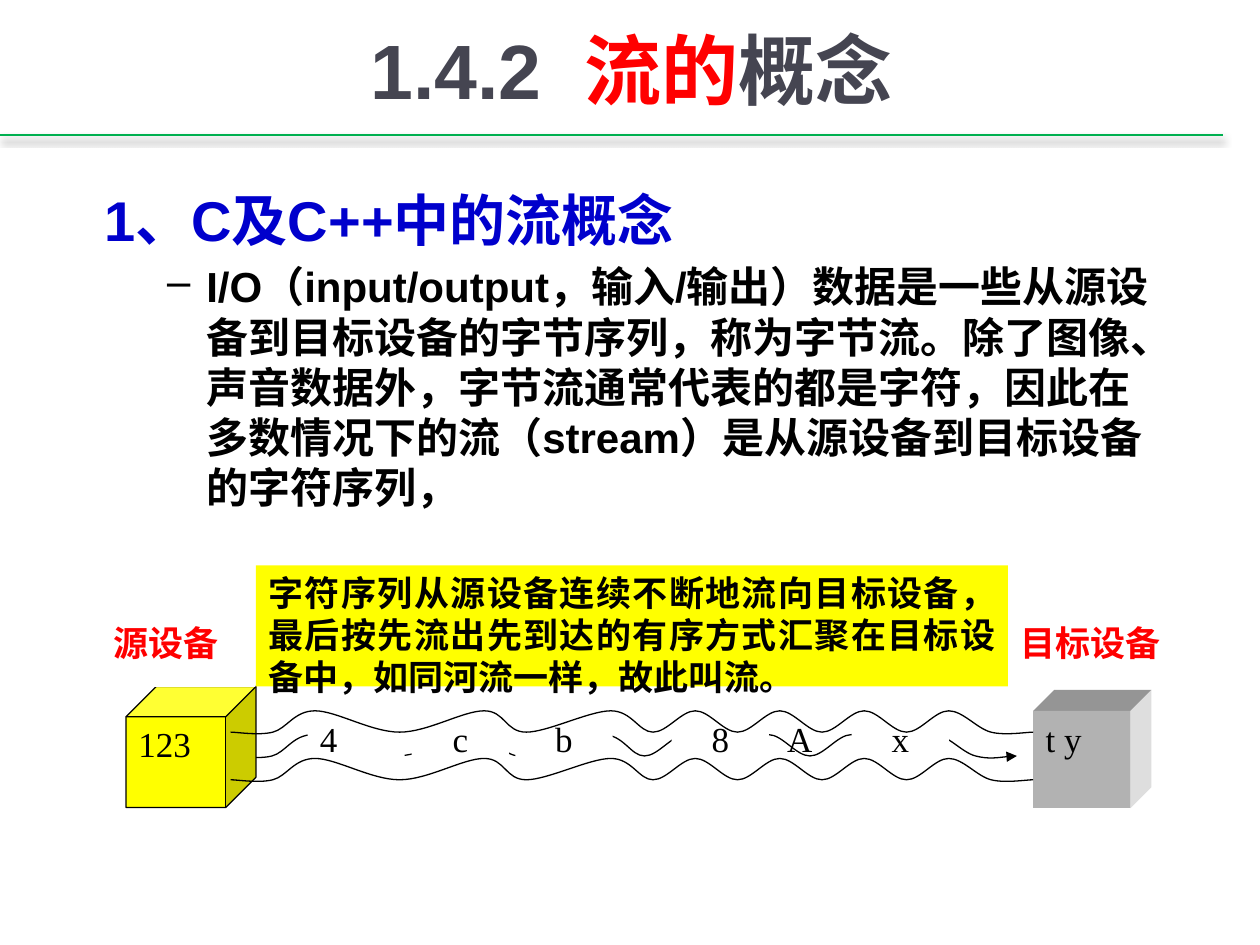
import pptx
import pptx.util
import pptx.dml.color
import pptx.enum.shapes
import pptx.enum.text
import pptx.oxml
import pptx.oxml.ns

Cm, Pt = pptx.util.Cm, pptx.util.Pt
SHAPE = pptx.enum.shapes.MSO_SHAPE
ALIGN = pptx.enum.text.PP_ALIGN
ANCHOR = pptx.enum.text.MSO_ANCHOR
qn = pptx.oxml.ns.qn
NS = 'xmlns:a="http://schemas.openxmlformats.org/drawingml/2006/main"'

COLORS = {
    "rule": "00B050", "title": "454551", "red": "FF0000", "blue": "0000CC",
    "black": "000000", "white": "FFFFFF", "yellow": "FFFF00",
    "front": "B2B2B2", "top": "959595", "side": "DEDEDE",
}
SANS, SERIF, CJK = "Arial", "Times New Roman", "Noto Sans CJK SC"
# Wave crests and troughs: position in units, and 0 for crest or 1 for trough
KNOTS = [(0, 1), (1, 1), (2, 0), (4, 1), (6, 0), (7, 1)]
KNOTS += [(u, u % 2 == 0) for u in range(9, 19)] + [(19, 1)]


def rgb(name):
    return pptx.dml.color.RGBColor.from_string(COLORS[name])


def xml(text):
    return pptx.oxml.parse_xml(text)


def add_run(p, text, size=20, font=SERIF, color="black", bold=False):
    r = p.add_run()
    r.text = text
    r.font.size, r.font.name, r.font.bold = Pt(size), font, bold
    r.font.color.rgb = rgb(color)
    r.font._element.find(qn("a:latin")).addnext(
        xml(f'<a:ea {NS} typeface="{CJK}"/>'))


def set_text(tf, text, align=ALIGN.JUSTIFY, pitch=None, **style):
    tf.word_wrap = True
    tf.vertical_anchor = ANCHOR.TOP
    p = tf.paragraphs[0]
    p.alignment = align
    if pitch:
        p.line_spacing = Pt(pitch)
    add_run(p, text, **style)


def paint(sp, fill=None, line=None):
    sp.shadow.inherit = False
    if fill:
        sp.fill.solid()
        sp.fill.fore_color.rgb = rgb(fill)
    else:
        sp.fill.background()
    if line:
        sp.line.color.rgb = rgb(line)
        sp.line.width = Pt(0.75)
    else:
        sp.line.fill.background()


def add_box(s, x, y, w, h, text, fill="white", line=None, kind=SHAPE.RECTANGLE, **style):
    sp = s.shapes.add_shape(kind, Cm(x), Cm(y), Cm(w), Cm(h))
    paint(sp, fill, line)
    set_text(sp.text_frame, text, **style)


def add_outline(s, points, close, fill=None, line=None):
    points = [(Cm(x), Cm(y)) for x, y in points]
    fb = s.shapes.build_freeform(*points[0])
    fb.add_line_segments(points[1:], close=close)
    sp = fb.convert_to_shape()
    paint(sp, fill, line)
    return sp


def add_wave(s, x, y, width, arrow=False):
    knots = [(x + u * width / 19, y + 0.43 * low) for u, low in KNOTS]
    padded = [knots[0]] + knots + [knots[-1]]
    points = [knots[0]]
    for a, b, c, d in zip(padded, padded[1:], padded[2:], padded[3:]):
        points.append(tuple(q + (r - p) / 6 for p, q, r in zip(a, b, c)))
        points.append(tuple(r - (t - q) / 6 for q, r, t in zip(b, c, d)))
        points.append(c)
    sp = add_outline(s, points, False, line="black")
    # Join each three straight segments into one curve
    path = next(sp._element.iter(qn("a:path")))
    segments = path.findall(qn("a:lnTo"))
    for i in range(0, len(segments), 3):
        curve = xml(f"<a:cubicBezTo {NS}/>")
        for segment in segments[i:i + 3]:
            curve.append(segment[0])
            path.remove(segment)
        path.append(curve)
    if arrow:
        sp.line._get_or_add_ln().append(xml(f'<a:tailEnd {NS} type="triangle"/>'))


def add_title(s):
    sp = s.shapes.title
    sp.left, sp.top, sp.width, sp.height = Cm(2.29), Cm(0.03), Cm(20.88), Cm(2.74)
    tf = sp.text_frame
    style = dict(size=44, font=SANS, bold=True)
    set_text(tf, "1.4.2  ", align=ALIGN.CENTER, pitch=52, color="title", **style)
    tf.vertical_anchor = ANCHOR.MIDDLE
    add_run(tf.paragraphs[0], "流的", color="red", **style)
    add_run(tf.paragraphs[0], "概念", color="title", **style)


def add_rule(s):
    y = Cm(2.72)
    sp = s.shapes.add_connector(pptx.enum.shapes.MSO_CONNECTOR.STRAIGHT, 0, y, Cm(24.66), y)
    sp.line.color.rgb = rgb("rule")
    sp.line.width = Pt(1.25)
    sp._element.spPr.append(xml(
        f'<a:effectLst {NS}><a:outerShdw blurRad="{Pt(4)}" dist="{Pt(2.5)}" dir="5400000">'
        f'<a:srgbClr val="{COLORS["black"]}"><a:alpha val="47000"/></a:srgbClr>'
        '</a:outerShdw></a:effectLst>'))


def add_body(s):
    tf = s.shapes.add_textbox(Cm(1.85), Cm(3.63), Cm(21.79), Cm(12.27)).text_frame
    set_text(tf, "1、C及C++中的流概念", align=ALIGN.LEFT, pitch=38,
             size=32, font=SANS, color="blue", bold=True)
    p = tf.add_paragraph()
    p.line_spacing, p.space_before = Pt(28.7), Pt(4.8)
    pPr = p._p.get_or_add_pPr()
    pPr.set("marL", str(Cm(2.06)))
    pPr.set("indent", str(-Cm(0.79)))
    pPr.append(xml(f'<a:buChar {NS} char="–"/>'))
    add_run(p, "I/O（input/output，输入/输出）数据是一些从源设备到目标设备的字节序列，"
               "称为字节流。除了图像、声音数据外，字节流通常代表的都是字符，"
               "因此在多数情况下的流（stream）是从源设备到目标设备的字符序列，",
            size=24, font=SANS, bold=True)


def add_letter(s, x, text, align=ALIGN.CENTER):
    add_box(s, x, 14.33, 1.96, 1.45, text, align=align)


def add_target(s):
    x, y, size, depth = 20.83, 14.33, 1.96, 0.42
    right, bottom = x + size, y + size
    back = [(x + depth, y - depth), (right + depth, y - depth)]
    add_outline(s, [(x, y), *back, (right, y)], True, fill="top")
    add_outline(s, [(right, y), back[1], (right + depth, bottom - depth), (right, bottom)],
                True, fill="side")
    add_box(s, x, y, size, size, "t y", fill="front")


def add_stream(s):
    # Middle wave with the characters it carries
    add_letter(s, 15.62, "A", ALIGN.JUSTIFY)
    add_wave(s, 4.65, 14.81, 15.85, arrow=True)
    for x, text in [(13.54, "8"), (10.39, "b"), (8.3, "c")]:
        add_letter(s, x, text)
    add_target(s)
    add_letter(s, 17.17, "x")
    add_box(s, 2.54, 13.84, 2.62, 2.44, "123", fill="yellow", line="black", kind=SHAPE.CUBE)
    add_letter(s, 6.2, "4", ALIGN.JUSTIFY)
    # Banks of the stream
    for y in (14.33, 15.29):
        add_wave(s, 4.65, y, 16.18)
    # Labels and explanation
    label = dict(pitch=24, bold=True)
    add_box(s, 2.03, 12.4, 3.12, 1.45, "源设备", color="red", **label)
    add_box(s, 20.32, 12.4, 3.66, 1.45, "目标设备", color="red", **label)
    add_box(s, 5.16, 11.4, 15.16, 2.44,
            "字符序列从源设备连续不断地流向目标设备，最后按先流出先到达的有序方式"
            "汇聚在目标设备中，如同河流一样，故此叫流。",
            fill="yellow", font=CJK, **label)


def main():
    prs = pptx.Presentation()
    prs.slide_width, prs.slide_height = Cm(25.4), Cm(19.05)
    s = prs.slides.add_slide(prs.slide_layouts[5])
    add_rule(s)
    add_title(s)
    add_body(s)
    add_stream(s)
    prs.save("out.pptx")


if __name__ == "__main__":
    main()
